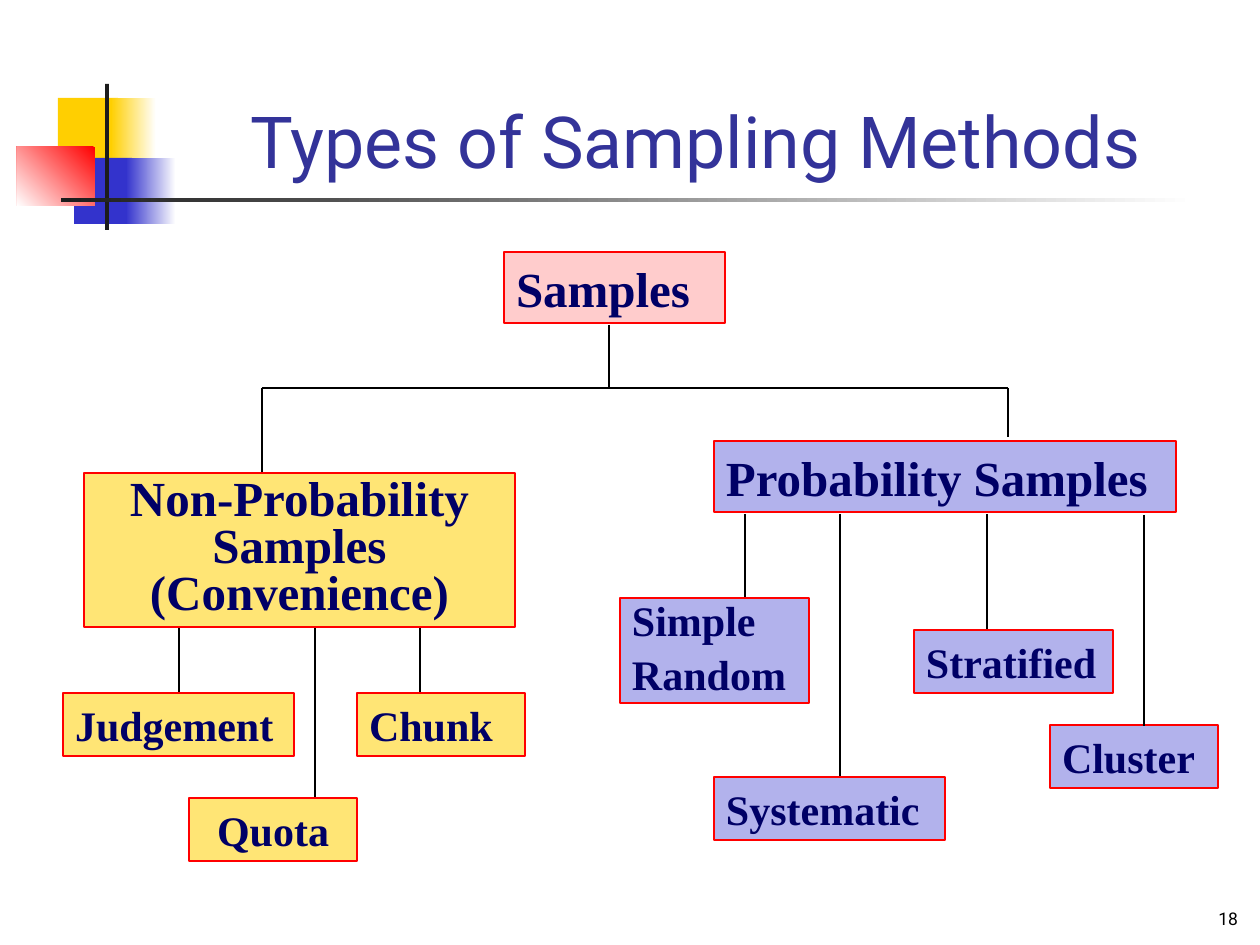
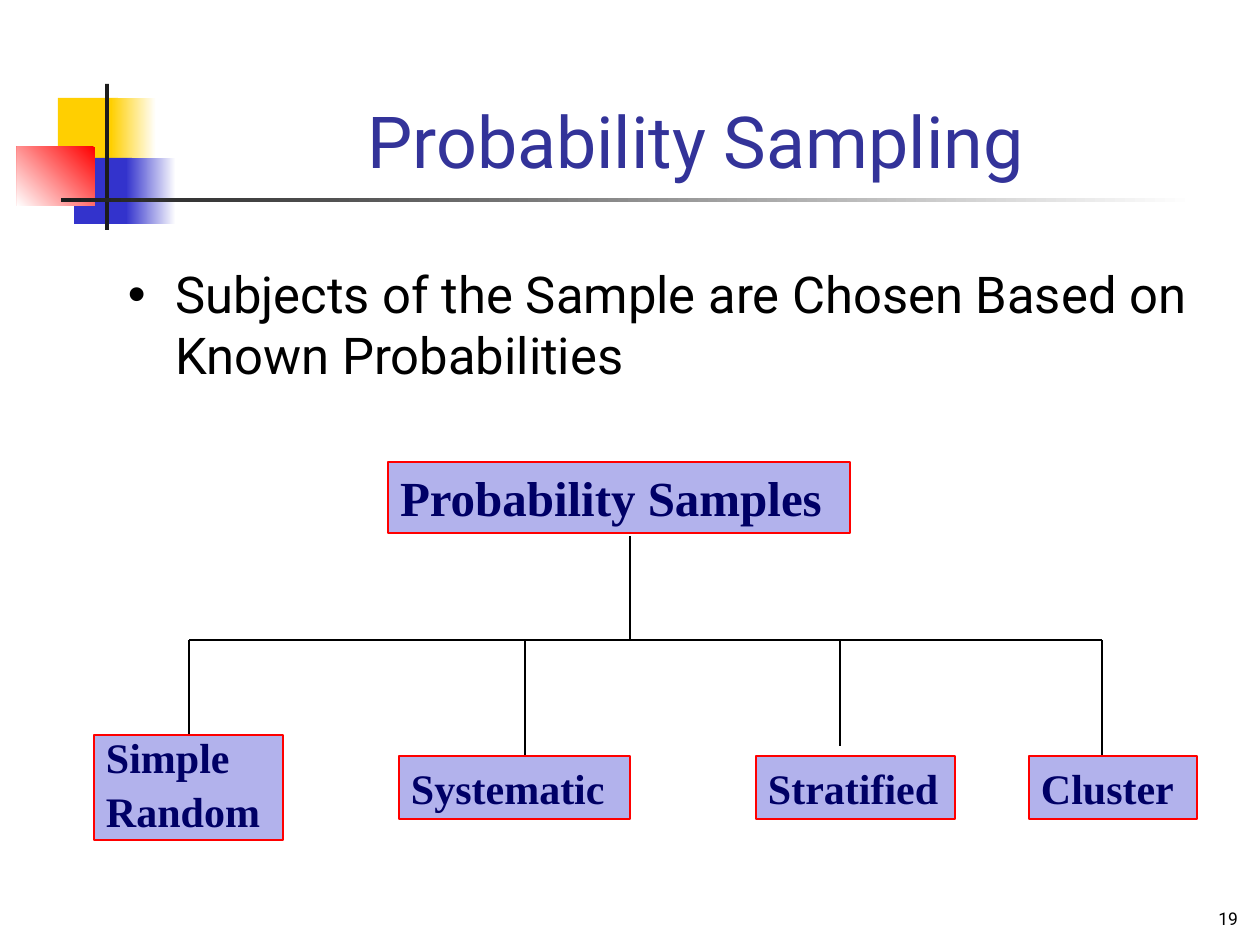
from lxml import etree
from pptx import Presentation
from pptx.dml.color import RGBColor
from pptx.enum.shapes import MSO_CONNECTOR, MSO_SHAPE
from pptx.enum.text import MSO_ANCHOR, MSO_AUTO_SIZE, PP_ALIGN
from pptx.oxml.ns import qn
from pptx.util import Emu, Pt

RECTANGLE = MSO_SHAPE.RECTANGLE
STRAIGHT = MSO_CONNECTOR.STRAIGHT
TOP, MIDDLE, BOTTOM = MSO_ANCHOR.TOP, MSO_ANCHOR.MIDDLE, MSO_ANCHOR.BOTTOM
LEFT, CENTER, RIGHT = PP_ALIGN.LEFT, PP_ALIGN.CENTER, PP_ALIGN.RIGHT
NO_AUTOFIT = MSO_AUTO_SIZE.NONE

WHITE = RGBColor(0xFF, 0xFF, 0xFF)
BLACK = RGBColor(0x00, 0x00, 0x00)
CHARCOAL = RGBColor(0x1C, 0x1C, 0x1C)
RED = RGBColor(0xFF, 0x00, 0x00)
GOLD = RGBColor(0xFF, 0xCF, 0x01)
BLUE = RGBColor(0x33, 0x33, 0xCC)
TITLE_BLUE = RGBColor(0x33, 0x33, 0x99)
NAVY = RGBColor(0x00, 0x00, 0x66)
PINK = RGBColor(0xFF, 0xCC, 0xCC)
YELLOW = RGBColor(0xFF, 0xE5, 0x75)
LAVENDER = RGBColor(0xB2, 0xB2, 0xEC)

PX = 914400 / 126
TITLE_ONLY, TITLE_AND_BODY = 5, 1
SANS, SERIF = "Roboto", "Times New Roman"
HEADING, LEAF = 28, 24
HEADING_HEIGHT, LEAF_HEIGHT, TWO_LINE_HEIGHT = 71, 63, 105

BANDS = [
    (58, 98, 60, 66, GOLD, GOLD, 0),
    (111, 98, 45, 66, WHITE, GOLD, 180),
    (74, 158, 58, 66, BLUE, BLUE, 0),
    (126, 158, 50, 66, WHITE, BLUE, 180),
    (17, 147, 78, 59, RED, WHITE, 225),
    (105, 84, 4, 146, CHARCOAL, CHARCOAL, 0),
    (61, 198, 1134, 4, WHITE, CHARCOAL, 180),
]


def px(*lengths):
    return [Emu(round(length * PX)) for length in lengths]


class Deck:
    def __init__(self):
        self.presentation = Presentation()
        self.presentation.slide_width, self.presentation.slide_height = px(1260, 945)
        self.slide = None

    def add_slide(self, layout, title, number):
        self.slide = self.presentation.slides.add_slide(
            self.presentation.slide_layouts[layout])
        for band in BANDS:
            self.band(*band)
        self.place(self.slide.shapes.title, 159, 32, 1074, 157)
        self.text(self.slide.shapes.title, [title], SANS, 41, TITLE_BLUE, CENTER, BOTTOM)
        number_box = self.slide.shapes.add_textbox(*px(988, 871, 262, 64))
        self.text(number_box, [str(number)], SANS, 10, BLACK, RIGHT, BOTTOM)

    def place(self, shape, left, top, width, height):
        shape.left, shape.top, shape.width, shape.height = px(left, top, width, height)

    def rectangle(self, left, top, width, height):
        shape = self.slide.shapes.add_shape(RECTANGLE, *px(left, top, width, height))
        shape.shadow.inherit = False
        return shape

    def band(self, left, top, width, height, start, end, angle):
        shape = self.rectangle(left, top, width, height)
        shape.line.fill.background()
        if start == end:
            shape.fill.solid()
            shape.fill.fore_color.rgb = start
            return
        shape.fill.gradient()
        shape.fill.gradient_angle = angle
        for stop, color, position in zip(shape.fill.gradient_stops, (start, end), (0, 1)):
            stop.color.rgb = color
            stop.position = position

    def text(self, shape, lines, font, size, color, align=LEFT, anchor=TOP, bold=False):
        frame = shape.text_frame
        frame.text = "\n".join(lines)
        frame.word_wrap = True
        frame.auto_size = NO_AUTOFIT
        frame.vertical_anchor = anchor
        frame.margin_left, frame.margin_right = px(12, 12)
        frame.margin_top, frame.margin_bottom = px(6, 6)
        for paragraph in frame.paragraphs:
            paragraph.alignment = align
            paragraph.space_before = Pt(0)
            paragraph.font.name = font
            paragraph.font.size = Pt(size)
            paragraph.font.bold = bold
            paragraph.font.color.rgb = color
        return frame

    def bullet(self, line):
        body = self.slide.placeholders[1]
        self.place(body, 116, 257, 1113, 625)
        body.text_frame.text = line
        paragraph = body.text_frame.paragraphs[0]
        properties = paragraph._p.get_or_add_pPr()
        indent = px(44)[0]
        properties.set("marL", str(indent))
        properties.set("indent", str(-indent))
        bullet_color = etree.SubElement(properties, qn("a:buClr"))
        etree.SubElement(bullet_color, qn("a:srgbClr"), val=str(BLUE))
        etree.SubElement(properties, qn("a:buSzPct"), val="60000")
        etree.SubElement(properties, qn("a:buChar"), char="■")
        self.text(body, [line], SANS, 29, BLACK)
        paragraph.line_spacing = 1.1

    def box(self, left, top, width, height, fill, lines, size, align=LEFT, anchor=TOP):
        shape = self.rectangle(left, top, width, height)
        shape.fill.solid()
        shape.fill.fore_color.rgb = fill
        shape.line.color.rgb = RED
        shape.line.width = Pt(1)
        return self.text(shape, lines, SERIF, size, NAVY, align, anchor, True)

    def heading(self, left, top, width, fill, label):
        self.box(left, top, width, HEADING_HEIGHT, fill, [label], HEADING)

    def leaf(self, left, top, width, fill, label, align=LEFT):
        self.box(left, top, width, LEAF_HEIGHT, fill, [label], LEAF, align, MIDDLE)

    def simple_random(self, left, top):
        frame = self.box(left, top, 189, TWO_LINE_HEIGHT, LAVENDER,
                         ["Simple", "Random"], LEAF)
        first, second = frame.paragraphs
        first.line_spacing = 0.8
        second.line_spacing = 0.5
        second.space_before = Pt(15)

    def line(self, start_x, start_y, end_x, end_y):
        connector = self.slide.shapes.add_connector(
            STRAIGHT, *px(start_x, start_y, end_x, end_y))
        connector.line.color.rgb = BLACK
        connector.line.width = Pt(1)
        etree.SubElement(connector._element.spPr, qn("a:effectLst"))

    def drops(self, top, ends):
        for x, bottom in ends:
            self.line(x, top, x, bottom)

    def save(self):
        self.presentation.save("out.pptx")


def sampling_methods(deck):
    deck.add_slide(TITLE_ONLY, "Types of Sampling Methods", 18)
    deck.drops(325, [(609, 388)])
    deck.line(262, 388, 1008, 388)
    deck.drops(388, [(262, 473), (1008, 437)])
    deck.drops(577, [(179, 694), (315, 800), (420, 694)])
    deck.drops(514, [(745, 599), (840, 777), (987, 631)])

    deck.heading(504, 252, 221, PINK, "Samples")
    deck.heading(714, 441, 462, LAVENDER, "Probability Samples")
    frame = deck.box(84, 473, 431, 154, YELLOW,
                     ["Non-Probability Samples (Convenience)"], HEADING, CENTER)
    frame.paragraphs[0].line_spacing = 0.8

    deck.leaf(63, 693, 231, YELLOW, "Judgement")
    deck.leaf(357, 693, 168, YELLOW, "Chunk")
    deck.leaf(189, 798, 168, YELLOW, "Quota", CENTER)
    deck.simple_random(620, 598)
    deck.leaf(714, 777, 231, LAVENDER, "Systematic")
    deck.leaf(914, 630, 199, LAVENDER, "Stratified")
    deck.leaf(1050, 725, 168, LAVENDER, "Cluster")
    deck.drops(515, [(1144, 726)])


def probability_sampling(deck):
    deck.add_slide(TITLE_AND_BODY, "Probability Sampling", 19)
    deck.bullet("Subjects of the Sample are Chosen Based on Known Probabilities")
    deck.drops(536, [(630, 640)])
    deck.line(189, 640, 1102, 640)
    deck.drops(640, [(189, 737), (525, 756), (840, 746), (1102, 757)])

    deck.heading(388, 462, 462, LAVENDER, "Probability Samples")
    deck.simple_random(94, 735)
    deck.leaf(399, 756, 231, LAVENDER, "Systematic")
    deck.leaf(756, 756, 199, LAVENDER, "Stratified")
    deck.leaf(1029, 756, 168, LAVENDER, "Cluster")


def main():
    deck = Deck()
    sampling_methods(deck)
    probability_sampling(deck)
    deck.save()


if __name__ == "__main__":
    main()
